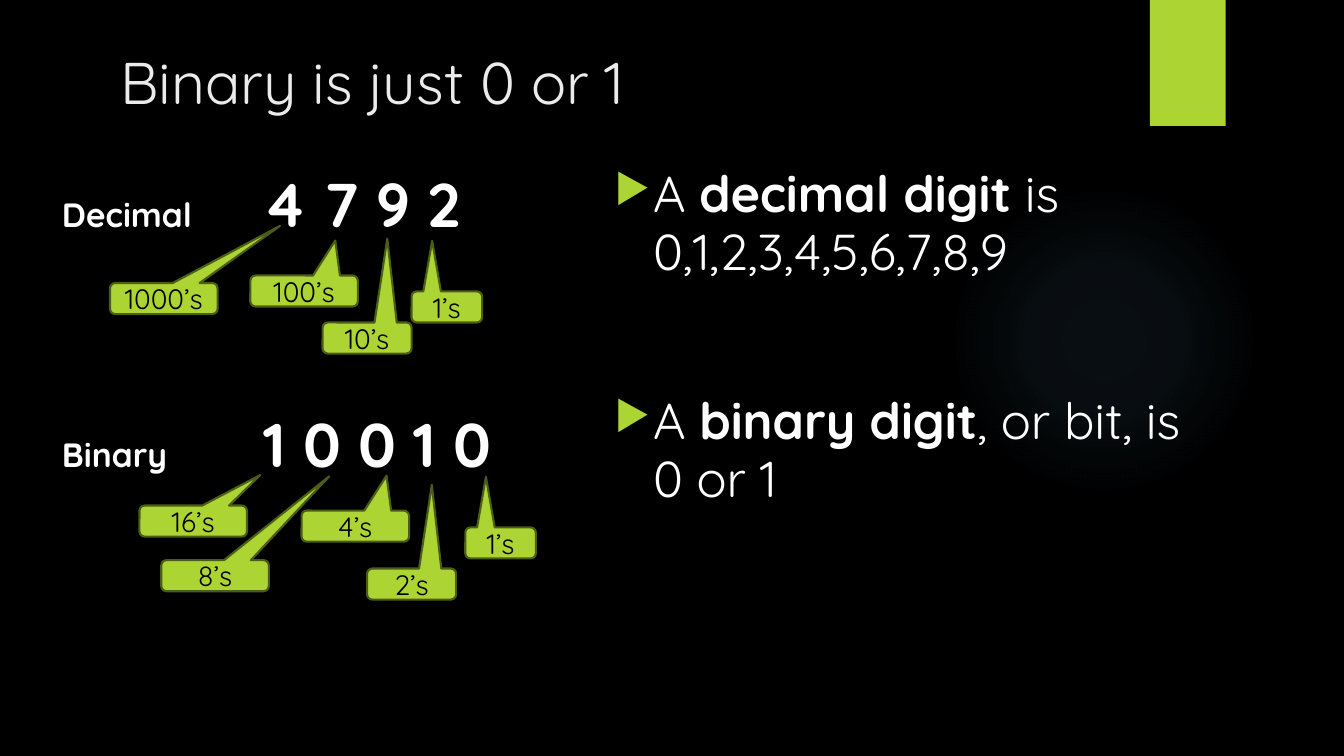
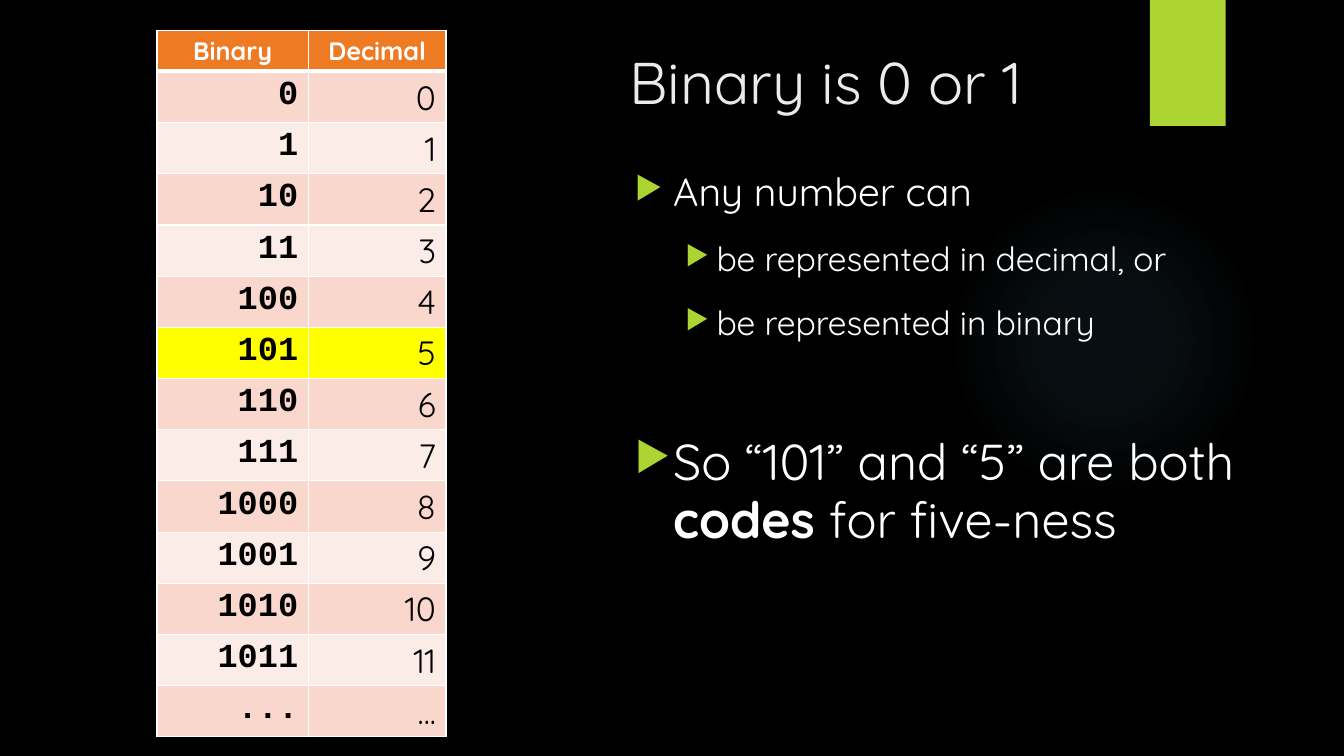
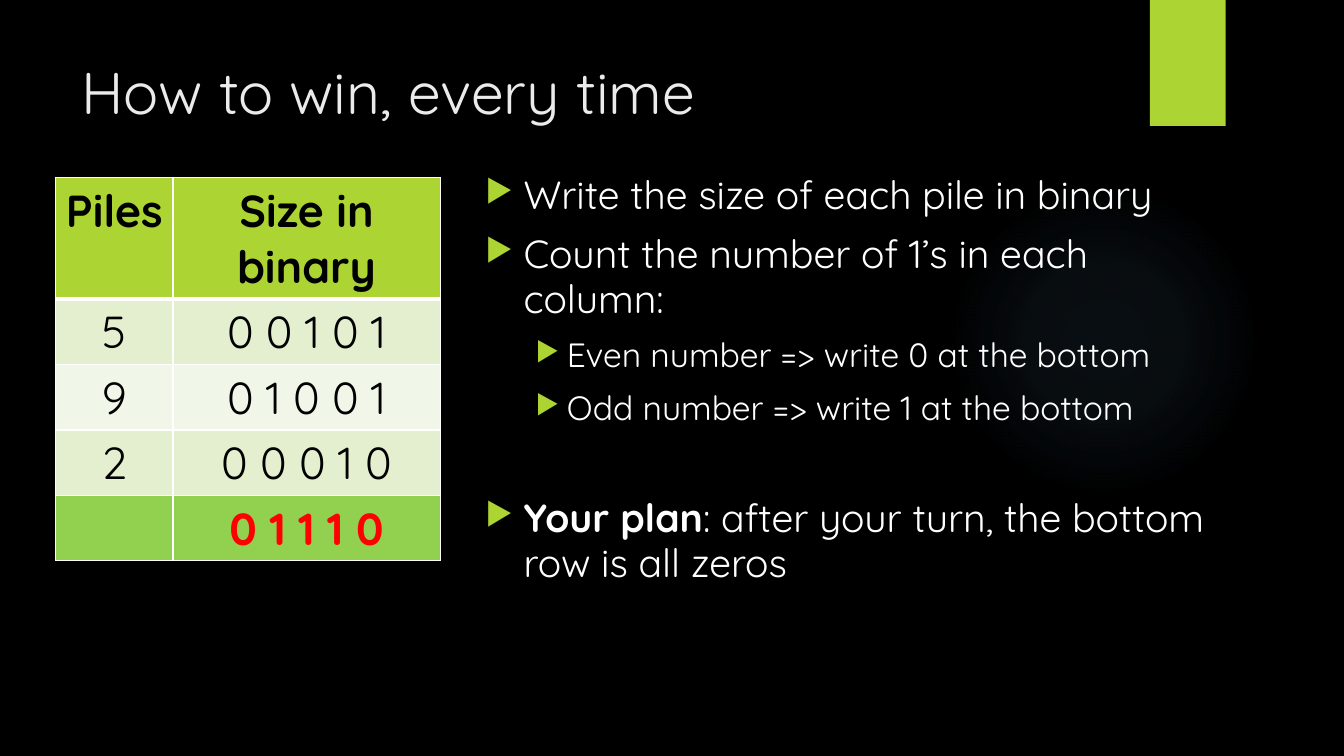
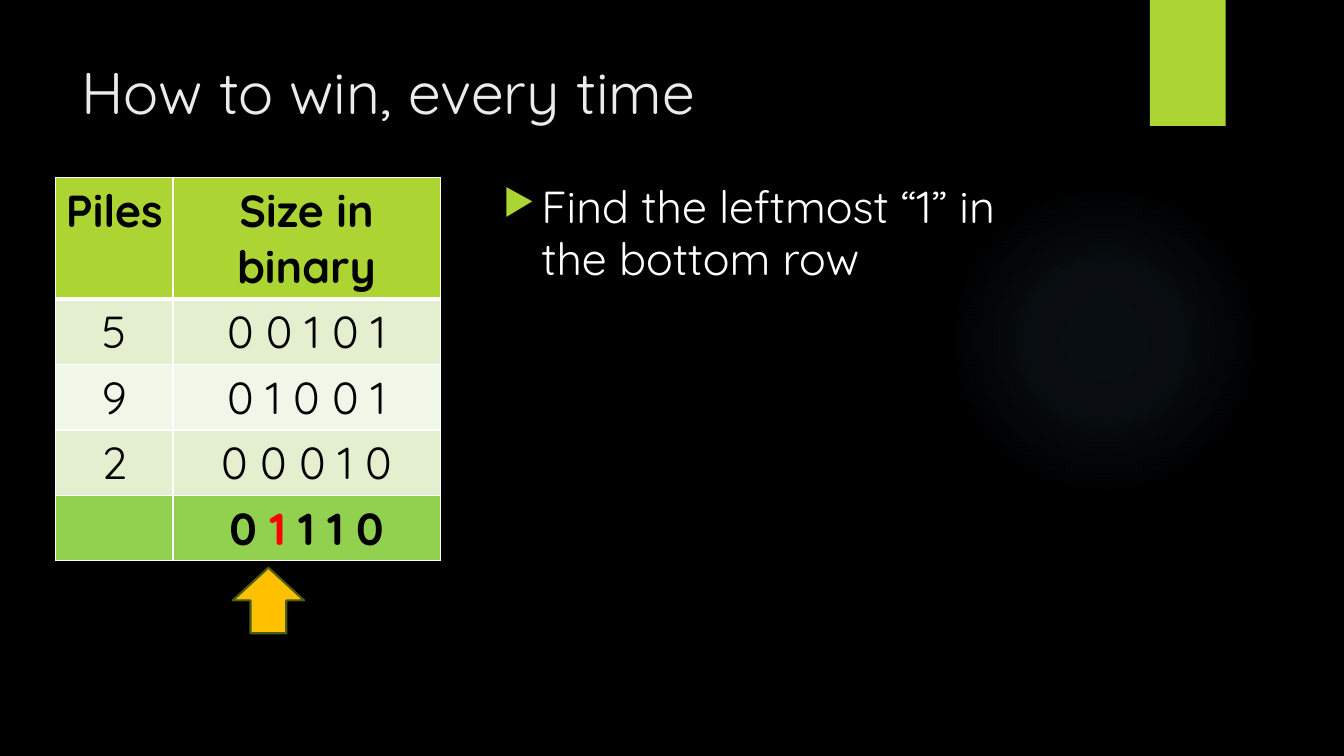
from lxml import etree
from pptx import Presentation
from pptx import util as u
from pptx.dml.color import RGBColor
from pptx.enum import shapes, text
from pptx.oxml import parse_xml
from pptx.oxml.ns import nsdecls, qn

rgb = RGBColor.from_string
GREEN, DARK_GREEN, WHITE, BLACK, RED = "ACD433", "4B5D16", "FFFFFF", "000000", "FF0000"
FONT = "Quicksand"
LEFT, CENTER, RIGHT = text.PP_ALIGN.LEFT, text.PP_ALIGN.CENTER, text.PP_ALIGN.RIGHT

presentation = Presentation()
presentation.slide_width = u.Inches(13.33)
presentation.slide_height = u.Inches(7.5)
COLUMN = presentation.slide_width / 160
layout = presentation.slide_layouts[5]
background = presentation.slide_master.background.fill
background.solid()
background.fore_color.rgb = rgb(BLACK)


def cells(*counts):
    return [u.Emu(round(count * COLUMN)) for count in counts]


def write(paragraph, content, size, color, align=LEFT, name=FONT):
    paragraph.alignment = align
    paragraph.font.size = u.Pt(size)
    paragraph.font.name = name
    paragraph.font.color.rgb = rgb(color)
    paragraph.font.bold = False
    for index, piece in enumerate(content.split("|")):
        for line_index, line in enumerate(piece.split("\n")):
            if line_index:
                paragraph.add_line_break()
            if line:
                run = paragraph.add_run()
                run.text = line
                if index % 2:
                    run.font.bold = True


pages = [
    ("Binary is just 0 or 1", (13.1, 4.8, 137.2, 11.5), (72, 19.2, 81.4, 64.7), [
        (0, 36, 0, "A |decimal digit| is 0,1,2,3,4,5,6,7,8,9"),
        (0, 36, 79, "A |binary digit|, or bit, is\n0 or 1"),
    ]),
    ("Binary is 0 or 1", (73.7, 4.8, 76.6, 18.4), (74.4, 19.7, 81.4, 64.7), [
        (0, 28, 0, "Any number can"),
        (1, 24, 18, "be represented in decimal, or"),
        (1, 24, 18, "be represented in binary"),
        (0, 36, 65, "So “101” and “5” are both |codes| for five-ness"),
    ]),
    ("How to win, every time", (8.5, 6, 123.5, 13.1), (56.6, 20, 88.7, 55.1), [
        (0, 28, 0, "Write the size of each pile in binary"),
        (0, 28, 10, "Count the number of 1’s in each column:"),
        (1, 24, 10, "Even number => write 0 at the bottom"),
        (1, 24, 10, "Odd number => write 1 at the bottom"),
        (0, 28, 49, "|Your plan|: after your turn, the bottom row is all zeros"),
    ]),
    ("How to win, every time", (8.5, 6, 123.5, 13.1), (58.7, 21.1, 70, 28.3), [
        (0, 32, 0, "Find the leftmost “1” in the bottom row"),
    ]),
]
indents = [(0.38, -0.38), (0.81, -0.31)]
slides = []
for heading, title_place, body_place, bullets in pages:
    slide = presentation.slides.add_slide(layout)
    slides.append(slide)
    title = slide.shapes.title
    title.left, title.top, title.width, title.height = cells(*title_place)
    title.text_frame.vertical_anchor = text.MSO_ANCHOR.TOP
    write(title.text_frame.paragraphs[0], heading, 42, "EBEBEB")

    frame = slide.shapes.add_textbox(*cells(*body_place)).text_frame
    frame.word_wrap = True
    for index, (level, size, space, content) in enumerate(bullets):
        paragraph = frame.add_paragraph() if index else frame.paragraphs[0]
        paragraph.level = level
        paragraph.line_spacing = 0.96
        paragraph.space_before = u.Pt(space)
        properties = paragraph._p.get_or_add_pPr()
        margin, indent = indents[level]
        properties.set("marL", str(u.Inches(margin)))
        properties.set("indent", str(u.Inches(indent)))
        color = etree.SubElement(properties, qn("a:buClr"))
        etree.SubElement(color, qn("a:srgbClr"), val=GREEN)
        etree.SubElement(properties, qn("a:buSzPct"), val="80000")
        etree.SubElement(properties, qn("a:buChar"), char="▶")
        write(paragraph, content, size, WHITE)

bar = slides[0].shapes.add_shape(shapes.MSO_SHAPE.RECTANGLE, *cells(136.9, 0, 9, 15))
bar.fill.solid()
bar.fill.fore_color.rgb = rgb(GREEN)
glow = slides[0].shapes.add_shape(shapes.MSO_SHAPE.OVAL, *cells(112.9, 22, 37, 37))
stops = "".join(
    f'<a:gs pos="{position}000"><a:srgbClr val="7AC4F0"><a:alpha val="{alpha}000"/></a:srgbClr></a:gs>'
    for position, alpha in [(0, 7), (36, 6), (69, 0)])
for shape in (bar, glow):
    shape.shadow.inherit = False
    shape.line.fill.background()
    layout.shapes.element.insert(2, shape.element)
glow.element.spPr.insert(2, parse_xml(
    f'<a:gradFill {nsdecls("a")}><a:gsLst>{stops}</a:gsLst><a:path path="circle">'
    '<a:fillToRect l="50000" t="50000" r="50000" b="50000"/></a:path></a:gradFill>'))

for top, label, digits in [(19.2, "Decimal", "4 7 9 2"), (47.8, "Binary", "1 0 0 1 0")]:
    frame = slides[0].shapes.add_textbox(*cells(6.2, top, 55.6, 10.1)).text_frame
    frame.word_wrap = True
    paragraph = frame.paragraphs[0]
    tabs = etree.SubElement(paragraph._p.get_or_add_pPr(), qn("a:tabLst"))
    etree.SubElement(tabs, qn("a:tab"), pos=str(u.Inches(2)), algn="l")
    write(paragraph, f"|{label}\t||{digits}|", 24, WHITE)
    paragraph.runs[1].font.size = u.Pt(44)

callouts = [
    ("1’s", 49, 34.7, 8.4, -0.208, -2.125),
    ("10’s", 38.4, 38.4, 10.6, 0.227, -3.196),
    ("100’s", 29.8, 32.8, 12.8, 0.29, -1.625),
    ("1000’s", 13.1, 33.7, 12.8, 1.081, -2.339),
    ("1’s", 55.4, 62.8, 8.4, -0.208, -2.125),
    ("2’s", 43.7, 67.7, 10.6, 0.227, -3.196),
    ("4’s", 35.9, 60.8, 12.8, 0.29, -1.625),
    ("8’s", 19.2, 66.7, 12.8, 1.061, -3.196),
    ("16’s", 16.6, 60.2, 12.8, 0.623, -1.482),
]
pointers = []
for label, left, top, width, tip_x, tip_y in callouts:
    callout = slides[0].shapes.add_shape(
        shapes.MSO_SHAPE.ROUNDED_RECTANGULAR_CALLOUT, *cells(left, top, width, 3.7))
    callout.adjustments[0] = tip_x
    callout.adjustments[1] = tip_y
    callout.text_frame.vertical_anchor = text.MSO_ANCHOR.MIDDLE
    write(callout.text_frame.paragraphs[0], label, 20, BLACK, CENTER)
    pointers.append((callout, GREEN))
arrow = slides[3].shapes.add_shape(shapes.MSO_SHAPE.UP_ARROW, *cells(27.7, 67.6, 8.5, 7.8))
pointers.append((arrow, "FFC000"))
for shape, color in pointers:
    shape.shadow.inherit = False
    shape.fill.solid()
    shape.fill.fore_color.rgb = rgb(color)
    shape.line.color.rgb = rgb(DARK_GREEN)
    shape.line.width = u.Pt(1.5)

numbers = [("|Binary|", "|Decimal|")]
numbers += [(f"|{number:b}|", str(number)) for number in range(12)] + [("|...|", "...")]
piles = [("|Piles|", "|Size in binary|"), ("5", "0 0 1 0 1"), ("9", "0 1 0 0 1"), ("2", "0 0 0 1 0")]
pile_style = ((6.6, 21.1), (14, 31.8), (14.5, 7.8), (32, 32), BLACK, CENTER, (FONT, FONT),
              (GREEN, "E3EFCE", "F1F7E8"), {4: "92D050"})
tables = [
    (slides[1], numbers, (18.7, 3.6), (18, 16.4), (4.9, 6.1), (18, 24), WHITE, RIGHT,
     ("Courier New", FONT), ("EF7A24", "F9D7CD", "FCECE8"), {6: "FFFF00"}),
    (slides[2], piles + [("", "|0 1 1 1 0|")], *pile_style),
    (slides[3], piles + [("", "|0 ||1|| 1 1 0|")], *pile_style),
]
for slide, rows, corner, widths, heights, sizes, header_color, align, names, fills, marked in tables:
    height = heights[0] + heights[1] * (len(rows) - 1)
    table = slide.shapes.add_table(len(rows), 2, *cells(*corner, sum(widths), height)).table
    table.first_row = table.horz_banding = False
    for column, width in zip(table.columns, cells(*widths)):
        column.width = width
    for row_index, row in enumerate(rows):
        header = row_index == 0
        table.rows[row_index].height = cells(heights[not header])[0]
        fill = fills[0] if header else marked.get(row_index, fills[2 - row_index % 2])
        for column_index, content in enumerate(row):
            cell = table.cell(row_index, column_index)
            cell.fill.solid()
            cell.fill.fore_color.rgb = rgb(fill)
            write(cell.text_frame.paragraphs[0], content, sizes[not header],
                  header_color if header else BLACK, CENTER if header else align,
                  FONT if header else names[column_index])
            for index, side in enumerate(["lnL", "lnR", "lnT", "lnB"]):
                thick = (header and side == "lnB") or (row_index == 1 and side == "lnT")
                cell._tc.get_or_add_tcPr().insert(index, parse_xml(
                    f'<a:{side} {nsdecls("a")} w="{u.Pt(3 if thick else 1)}"><a:solidFill>'
                    f'<a:srgbClr val="{WHITE}"/></a:solidFill></a:{side}>'))
    if slide is not slides[1]:
        result = table.cell(4, 1).text_frame.paragraphs[0].runs
        result[len(result) // 2].font.color.rgb = rgb(RED)

presentation.save("out.pptx")
